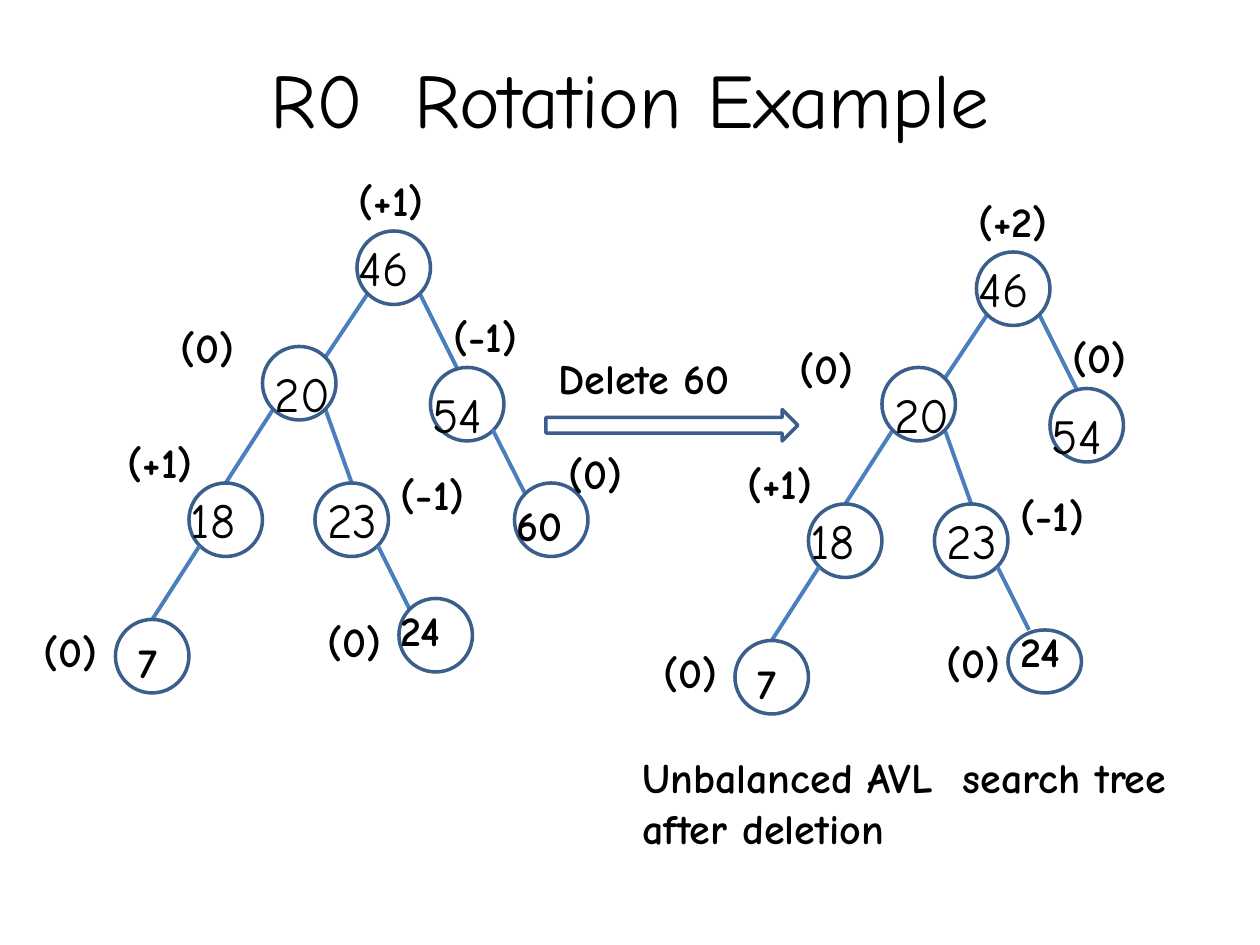
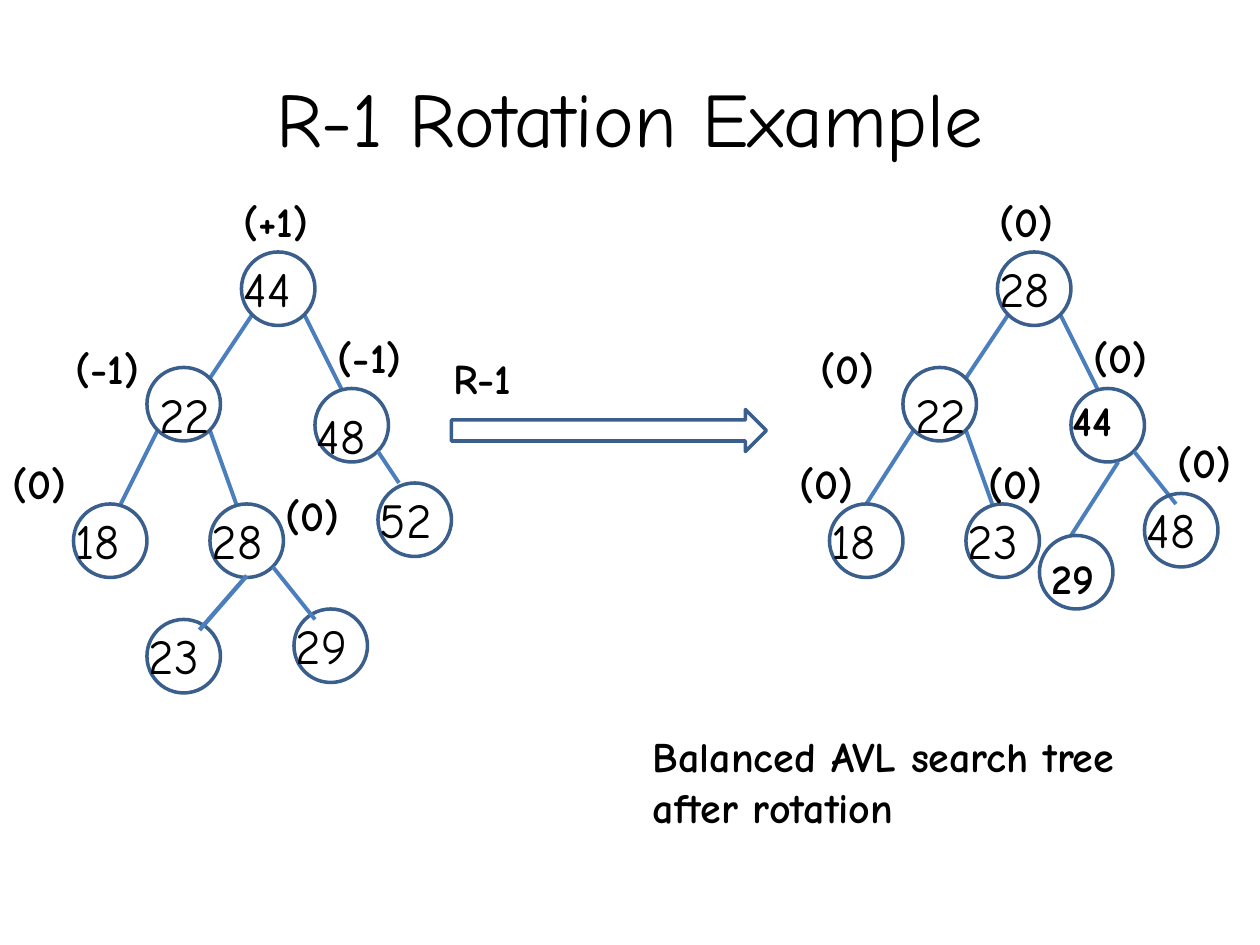
from lxml import etree
from pptx import Presentation, util as u
from pptx.dml.color import RGBColor
from pptx.enum import shapes, text
from pptx.oxml.ns import qn

Pt = u.Pt
COLORS = {"ink": "000000", "outline": "3A5F8C", "edge": "4B7EBC"}
FONT = "Comic Neue"
D = 42  # node diameter

# Upper five nodes of every tree, measured from the root circle's corner:
# (circle x, y), (number x, y, width), (balance x, y, width)
NODES = {
    "root": ((0, 0), (-6, 0, 78), (-6, -36, 84)),
    "left": ((-54, 66), (-54, 72, 54), (-108, 48, 66)),
    "right": ((42, 78), (36, 84, 72), (48, 42, 90)),
    "left_left": ((-96, 144), (-102, 144, 54), (-138, 114, 90)),
    "left_right": ((-24, 144), (-24, 144, 54), (18, 132, 90)),
}
EDGES = {
    "left": (6, 36, -18, 72),
    "right": (36, 36, 57, 78),
    "left_left": (-48, 102, -75, 144),
    "left_right": (-18, 102, -3, 144),
}


def write(tf, content, size=24, bold=False, align=None):
    p = tf.paragraphs[0]
    p.alignment = align
    r = p.add_run()
    r.text = content
    r.font.name, r.font.size, r.font.bold = FONT, Pt(size), bold
    r.font.color.rgb = RGBColor.from_string(COLORS["ink"])


class Deck:
    def __init__(self):
        self.prs = Presentation()
        self.prs.slide_width, self.prs.slide_height = Pt(720), Pt(540)

    def slide(self, title, title_height):
        self.s = self.prs.slides.add_slide(self.prs.slide_layouts[6])
        self.origin()
        tf = self.box(36, 21.6, 648, title_height)
        tf.vertical_anchor = text.MSO_ANCHOR.MIDDLE
        write(tf, title, size=44, align=text.PP_ALIGN.CENTER)

    def origin(self, x=0, y=0):
        self.ox, self.oy = x, y

    def place(self, x, y):
        return Pt(self.ox + x), Pt(self.oy + y)

    def box(self, x, y, w, h):
        tf = self.s.shapes.add_textbox(*self.place(x, y), Pt(w), Pt(h)).text_frame
        tf.word_wrap = True
        return tf

    def label(self, content, x, y, w, h=36, size=24, bold=True):
        tf = self.box(x, y, w, h)
        tf.auto_size = text.MSO_AUTO_SIZE.SHAPE_TO_FIT_TEXT
        write(tf, content, size=size, bold=bold)

    def number(self, content, x, y, w=60):
        self.label(content, x, y, w, h=41, size=28, bold=False)

    def outline(self, kind, x, y, w, h):
        sp = self.s.shapes.add_shape(kind, *self.place(x, y), Pt(w), Pt(h))
        sp.shadow.inherit = False
        sp.fill.background()
        sp.line.color.rgb = RGBColor.from_string(COLORS["outline"])
        sp.line.width = Pt(2)

    def circle(self, x, y, h=D):
        self.outline(shapes.MSO_SHAPE.OVAL, x, y, D, h)

    def arrow(self, x, y, w, h):
        self.outline(shapes.MSO_SHAPE.RIGHT_ARROW, x, y, w, h)

    def edge(self, x1, y1, x2, y2, width=2.25):
        c = self.s.shapes.add_connector(
            shapes.MSO_CONNECTOR.STRAIGHT, *self.place(x1, y1), *self.place(x2, y2))
        c.line.color.rgb = RGBColor.from_string(COLORS["edge"])
        c.line.width = Pt(width)
        etree.SubElement(c._element.spPr, qn("a:effectLst"))

    def tree(self, x, y, numbers, balances, circles={}, tags={}, edges={}):
        """Upper tree; the dicts move single parts, a None number is skipped."""
        self.origin(x, y)
        for line in {**EDGES, **edges}.values():
            self.edge(*line)
        for (name, (circle, num, tag)), n, b in zip(NODES.items(), numbers, balances):
            self.circle(*circles.get(name, circle))
            if n:
                self.number(n, *num)
            self.label(b, *tags.get(name, tag))

    def save(self):
        self.prs.save("out.pptx")


deck = Deck()

# Slide 1: deletion that unbalances the tree
deck.slide("R0  Rotation Example", 68.4)
deck.arrow(312, 234, 144, 18)
deck.label("Delete 60", 312, 198, 174)
deck.label("Unbalanced AVL  search tree after deletion", 360, 426, 330, h=66)

for x, y, root, right, last in ((204, 132, "(+1)", "(-1)", (24, 210, D)),
                                (558, 144, "(+2)", "(0)", (18, 216, 36))):
    deck.tree(x, y, ("46", "20", "54", "18", "23"),
              (root, "(0)", right, "(+1)", "(-1)"))
    # Leaf 7
    deck.edge(-90, 180, -117, 222)
    deck.circle(-138, 222)
    deck.label("7", -132, 228, 42)
    deck.label("(0)", -186, 222, 90)
    # Leaf 24
    deck.edge(12, 180, 30, 216)
    deck.circle(*last)
    deck.label("24", 18, 210, 48)
    deck.label("(0)", -24, 216, 48)

# Leaf 60, before deletion only
deck.origin()
deck.edge(281.5, 245.5, 300, 282)
deck.circle(294, 276)
deck.label("60", 288, 282, 54)
deck.label("(0)", 318, 252, 90)

# Slide 2: rotation that restores balance
deck.slide("R-1 Rotation Example", 90)
deck.arrow(258, 234, 180, 24)
deck.label("R-1", 252, 198, 150)
deck.label("Balanced AVL search tree after rotation", 366, 414, 330, h=66)
inner = {"left_right": (-18, 144)}

# Tree before rotation
deck.tree(138, 144, ("44", "22", "48", "18", "28"),
          ("(+1)", "(-1)", "(-1)", "(0)", "(0)"), circles=inner,
          tags={"left": (-102, 48, 78)}, edges={"left_left": (-48, 102, -69, 144)})
deck.origin()
for n, x, y in (("52", 216, 276), ("29", 168, 348), ("23", 84, 354)):
    deck.circle(x, y)
    deck.number(n, x - 6, y)
deck.edge(216, 258, 228, 276)
deck.edge(141, 329, 114, 360, width=2.5)
deck.edge(156, 324, 180, 354)

# Tree after rotation
deck.tree(570, 144, ("28", "22", None, "18", "23"), ["(0)"] * 5, circles=inner,
          tags={"left_left": (-120, 114, 60), "left_right": (-12, 114, 66)})
deck.origin()
deck.label("44", 606, 222, 60)
deck.edge(639, 264, 612, 306)
deck.circle(594, 306)
deck.label("29", 594, 312, 60)
deck.edge(648, 258, 672, 288)
deck.circle(654, 282)
deck.number("48", 648, 282)
deck.label("(0)", 666, 246, 54)

deck.save()
